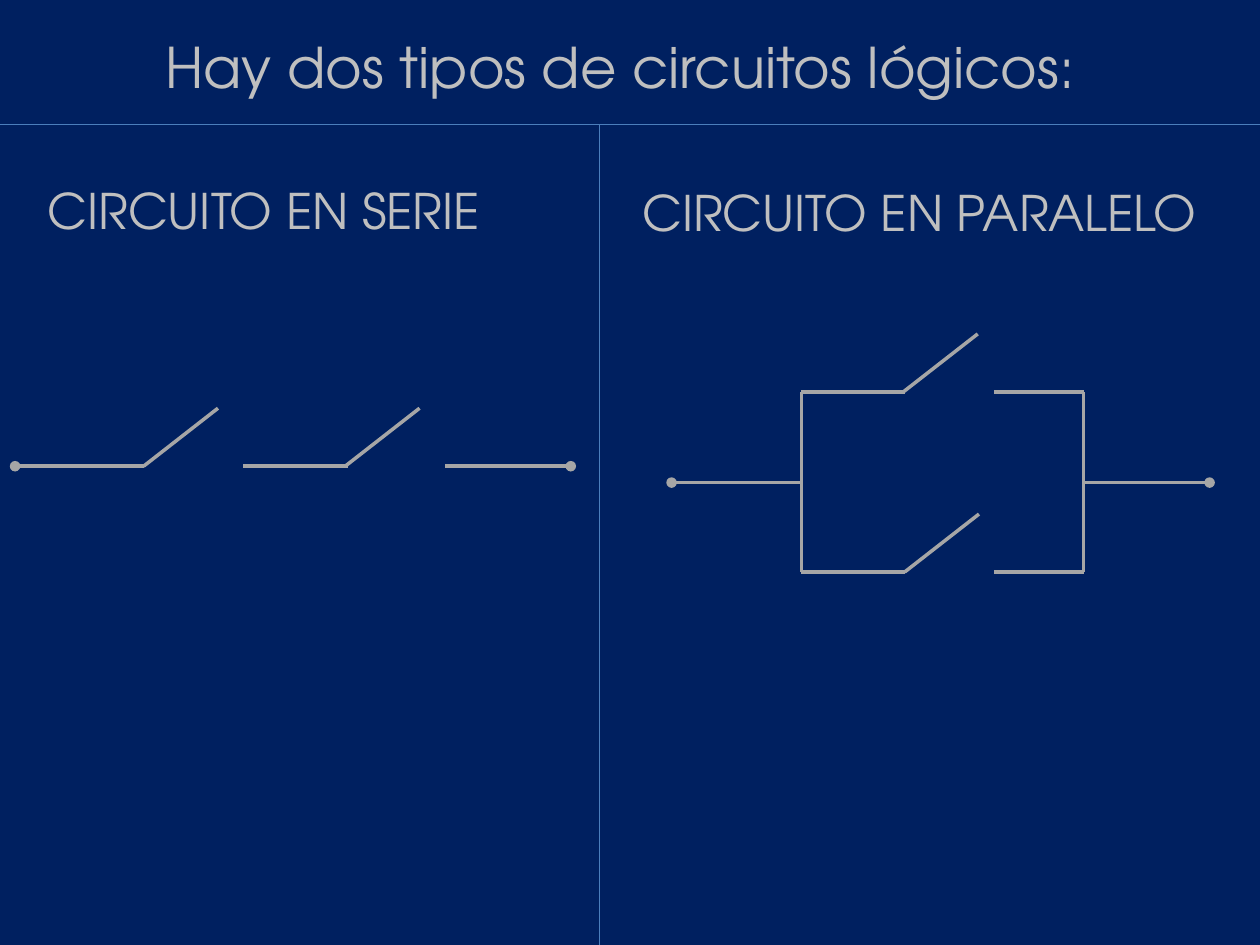
import pptx
import pptx.util
import pptx.dml.color
import pptx.enum.shapes
import pptx.enum.text
import pptx.oxml
import pptx.oxml.ns
from pptx.util import Inches

COLORS = {"background": "002060", "text": "BFBFBF", "divider": "4B7EBC", "wire": "A6A6A6"}
FONT = "TeX Gyre Adventor"
TITLE = ("Hay dos tipos de circuitos lógicos:", (0.28, 0.21, 9.29, 1.18), 32, "CENTER")
HEADINGS = [
    ("CIRCUITO EN SERIE", (0.28, 1.38, 5, 0.57), 28, "LEFT"),
    ("CIRCUITO EN PARALELO", (5, 1.4, 5, 0.57), 28, "LEFT"),
]
DIVIDERS = [(4.76, 0.99, 4.76, 7.5), (10, 0.99, 0, 0.99)]
LEVER = (0.59, -0.46)
CIRCUITS = [
    {
        "terminals": [(0.12, 3.7, 1.14, 3.7), (4.53, 3.7, 3.53, 3.7)],
        "wires": [(1.93, 3.7, 2.76, 3.7)],
        "switches": [(1.14, 3.7), (2.74, 3.7)],
    },
    {
        "terminals": [(5.33, 3.83, 6.35, 3.83), (9.6, 3.83, 8.6, 3.83)],
        "wires": [(x, 4.54, x, 3.11) for x in (6.36, 8.6)]
        + [wire for y in (3.11, 4.54) for wire in ((6.36, y, 7.18, y), (8.6, y, 7.89, y))],
        "switches": [(7.17, 3.11), (7.18, 4.54)],
    },
]


def rgb(name):
    return pptx.dml.color.RGBColor.from_string(COLORS[name])


def write(sp, text, box, size, align):
    sp.left, sp.top, sp.width, sp.height = map(Inches, box)
    tf = sp.text_frame
    frame_format = {
        "word_wrap": True,
        "auto_size": pptx.enum.text.MSO_AUTO_SIZE.NONE,
        "vertical_anchor": pptx.enum.text.MSO_ANCHOR.TOP,
    }
    for key, value in frame_format.items():
        setattr(tf, key, value)
    p = tf.paragraphs[0]
    p.alignment = getattr(pptx.enum.text.PP_ALIGN, align)
    r = p.add_run()
    r.text = text
    for key, value in {"name": FONT, "size": pptx.util.Pt(size), "bold": False}.items():
        setattr(r.font, key, value)
    r.font.color.rgb = rgb("text")


def draw_line(shapes, ends, color, width, dot=False):
    line = shapes.add_connector(pptx.enum.shapes.MSO_CONNECTOR.STRAIGHT, *map(Inches, ends))
    line.line.color.rgb = rgb(color)
    line.line.width = pptx.util.Pt(width)
    if dot:
        head = pptx.oxml.parse_xml(f'<a:headEnd {pptx.oxml.ns.nsdecls("a")} type="oval"/>')
        line.line._get_or_add_ln().append(head)
    effects = pptx.oxml.parse_xml(f'<a:effectLst {pptx.oxml.ns.nsdecls("a")}/>')
    line._element.spPr.append(effects)


def draw_circuit(s, circuit):
    shapes = s.shapes.add_group_shape().shapes
    for ends in circuit["terminals"]:
        draw_line(shapes, ends, "wire", 2, dot=True)
    levers = [(x, y, x + LEVER[0], y + LEVER[1]) for x, y in circuit["switches"]]
    for ends in circuit["wires"] + levers:
        draw_line(shapes, ends, "wire", 2)


def main():
    prs = pptx.Presentation()
    prs.slide_width, prs.slide_height = Inches(10), Inches(7.5)
    s = prs.slides.add_slide(prs.slide_layouts[5])
    s.background.fill.solid()
    s.background.fill.fore_color.rgb = rgb("background")
    write(s.shapes.title, *TITLE)
    for heading in HEADINGS:
        write(s.shapes.add_textbox(0, 0, 0, 0), *heading)
    for ends in DIVIDERS:
        draw_line(s.shapes, ends, "divider", 0.75)
    for circuit in CIRCUITS:
        draw_circuit(s, circuit)
    prs.save("out.pptx")


if __name__ == "__main__":
    main()
